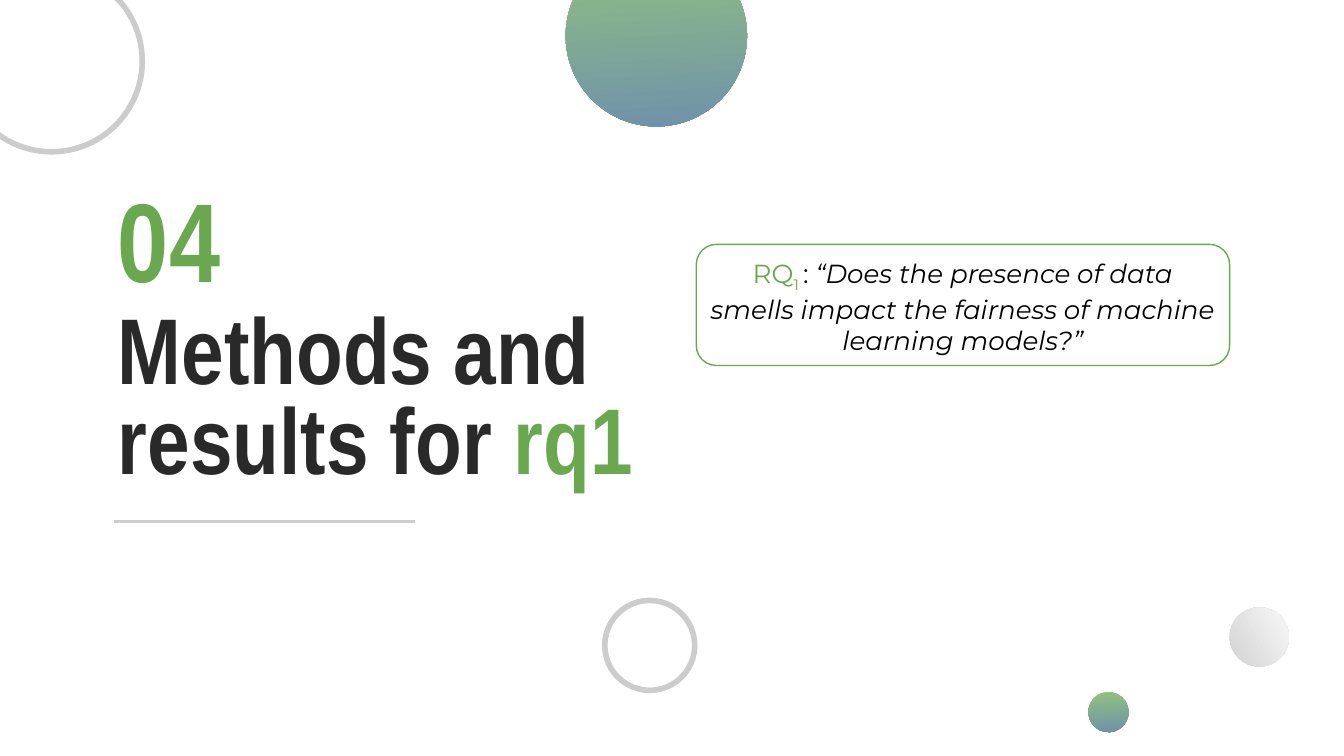
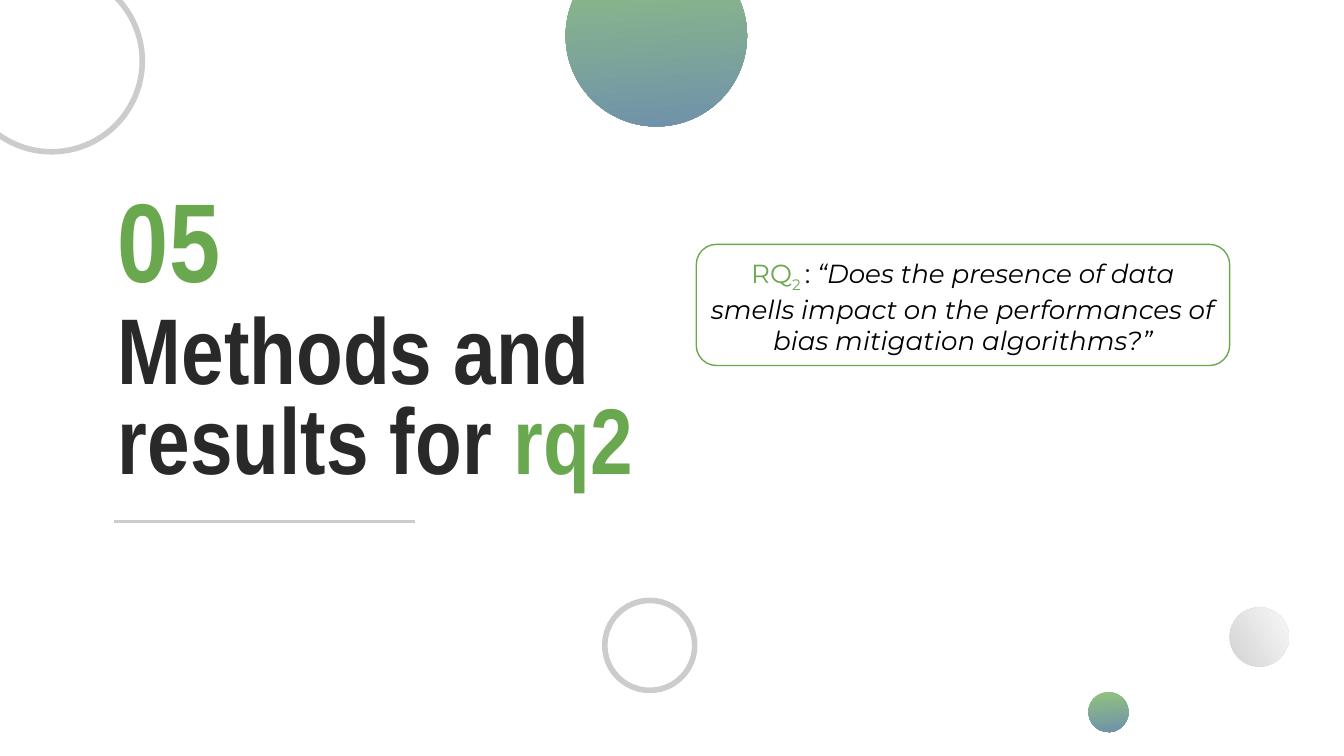
from lxml.etree import SubElement
from pptx import Presentation
from pptx.dml.color import RGBColor
from pptx.enum.shapes import MSO_CONNECTOR, MSO_SHAPE
from pptx.enum.text import MSO_ANCHOR as Anchor, MSO_AUTO_SIZE as AutoSize, PP_ALIGN as Align
from pptx.oxml.ns import qn
from pptx.util import Cm, Pt

# Shared look
GREEN, INK, GREY, BLACK, WHITE = "6AA84F", "292929", "CCCCCC", "000000", "FFFFFF"
GREEN_TO_BLUE = ("93C47D", "6E90AC")
GREY_TO_WHITE = (GREY, WHITE)
HEADING_FONT, BODY_FONT = "Arial Narrow", "Montserrat"

# Regions in centimetres: left, top, width, height
HEADING_BOX = (1.98, 3.48, 10.59, 6.38)
QUESTION_BOX = (13.16, 4.62, 10.08, 2.29)

# Decoration: left, top, diameter
RINGS = [(-0.74, -0.56, 3.43), (11.43, 11.35, 1.7)]
# Decoration: left, top, diameter, rotation, gradient
BALLS = [
    (23.24, 11.48, 1.12, 240, GREY_TO_WHITE),
    (10.69, -1.04, 3.43, 356.1, GREEN_TO_BLUE),
    (20.57, 13.08, 0.76, 356.1, GREEN_TO_BLUE),
]

# Section number, question number, question
SECTIONS = [
    ("04", "1", "“Does the presence of data smells impact the fairness of "
                "machine learning models?”"),
    ("05", "2", "“Does the presence of data smells impact on the performances of "
                "bias mitigation algorithms?”"),
]


def paint(color_format, color):
    color_format.rgb = RGBColor.from_string(color)


def outline(line, color, width):
    paint(line.color, color)
    line.width = Pt(width)


def place(part, left, top, width, height):
    part.left, part.top = Cm(left), Cm(top)
    part.width, part.height = Cm(width), Cm(height)


def add_run(paragraph, text, font, size, color, bold=False, italic=False, baseline=0):
    run = paragraph.add_run()
    run.text = text
    run.font.name, run.font.size = font, Pt(size)
    run.font.bold, run.font.italic = bold, italic
    paint(run.font.color, color)
    if baseline:
        run.font._element.set("baseline", str(baseline * 1000))


def prepare_text(part, anchor, align, top=0.25, bottom=0.25):
    """Set up the text frame and return its first paragraph."""
    frame = part.text_frame
    frame.word_wrap, frame.auto_size = True, AutoSize.NONE
    frame.vertical_anchor = anchor
    frame.margin_left = frame.margin_right = Cm(0.25)
    frame.margin_top, frame.margin_bottom = Cm(top), Cm(bottom)
    paragraph = frame.paragraphs[0]
    paragraph.alignment = align
    paragraph.space_before = Pt(0)
    return paragraph


def add_shape(slide, kind, left, top, width, height):
    shape = slide.shapes.add_shape(kind, Cm(left), Cm(top), Cm(width), Cm(height))
    shape.shadow.inherit = False
    return shape


def add_decoration(slide):
    for left, top, diameter in RINGS:
        ring = add_shape(slide, MSO_SHAPE.OVAL, left, top, diameter, diameter)
        ring.fill.background()
        outline(ring.line, GREY, 3)
    for left, top, diameter, rotation, gradient in BALLS:
        ball = add_shape(slide, MSO_SHAPE.OVAL, left, top, diameter, diameter)
        ball.rotation = rotation
        ball.line.fill.background()
        ball.fill.gradient()
        ball.fill.gradient_angle = 270
        for stop, color in zip(ball.fill.gradient_stops, gradient):
            paint(stop.color, color)


def add_heading(slide, box, section_number, question_number):
    left, top, width, height = box
    number_height, title_height = 2.29, 3.78

    # Section title
    title = slide.shapes.title
    place(title, left, top + number_height, width, title_height)
    paragraph = prepare_text(title, Anchor.BOTTOM, Align.LEFT)
    paragraph.line_spacing = 0.8
    add_run(paragraph, "Methods and results for ", HEADING_FONT, 50, INK, bold=True)
    add_run(paragraph, f"rq{question_number}", HEADING_FONT, 50, GREEN, bold=True)

    # Section number
    number = slide.placeholders[1]
    place(number, left, top, 4.14, number_height)
    paragraph = prepare_text(number, Anchor.MIDDLE, Align.LEFT, top=0)
    add_run(paragraph, section_number, HEADING_FONT, 60, GREEN, bold=True)

    # Rule under the title
    rule_y = Cm(top + height)
    rule = slide.shapes.add_connector(
        MSO_CONNECTOR.STRAIGHT, Cm(left + 5.87), rule_y, Cm(left + 0.18), rule_y)
    outline(rule.line, GREY, 1.5)
    SubElement(rule._element.spPr, qn("a:effectLst"))


def add_question(slide, box, question_number, question):
    left, top, width, height = box
    frame = add_shape(slide, MSO_SHAPE.ROUNDED_RECTANGLE, *box)
    frame.fill.solid()
    paint(frame.fill.fore_color, WHITE)
    outline(frame.line, GREEN, 0.75)

    inset = 0.12
    wording = slide.shapes.add_textbox(
        Cm(left), Cm(top + inset), Cm(width), Cm(height - 2 * inset))
    paragraph = prepare_text(wording, Anchor.TOP, Align.CENTER, 0.13, 0.13)
    add_run(paragraph, "RQ", BODY_FONT, 14, GREEN)
    add_run(paragraph, f"{question_number} ", BODY_FONT, 14, GREEN, baseline=-25)
    add_run(paragraph, ": ", BODY_FONT, 14, BLACK)
    add_run(paragraph, question, BODY_FONT, 14, BLACK, italic=True)


def add_section_slide(deck, section_number, question_number, question):
    slide = deck.slides.add_slide(deck.slide_layouts[0])
    add_decoration(slide)
    add_heading(slide, HEADING_BOX, section_number, question_number)
    add_question(slide, QUESTION_BOX, question_number, question)


def main():
    deck = Presentation()
    deck.slide_width, deck.slide_height = Cm(25.4), Cm(14.29)
    for section in SECTIONS:
        add_section_slide(deck, *section)
    deck.save("out.pptx")


if __name__ == "__main__":
    main()
